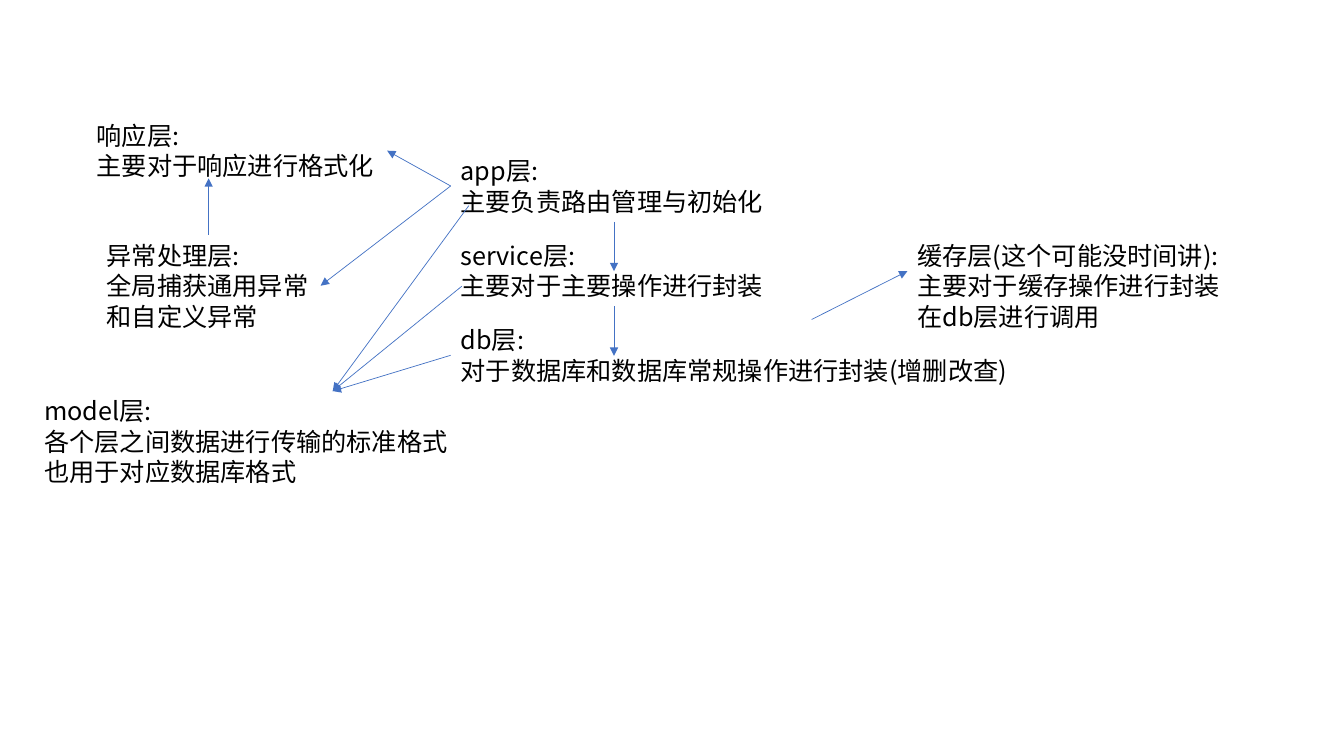
from dataclasses import dataclass
from typing import Optional

import pptx
import pptx.dml.color
import pptx.enum.lang
import pptx.enum.shapes
import pptx.enum.text
import pptx.oxml
import pptx.oxml.ns
import pptx.shapes.autoshape
import pptx.slide
import pptx.util
from lxml import etree
from pptx.util import Inches

TOP, LEFT, BOTTOM, RIGHT = range(4)


@dataclass(frozen=True)
class Theme:
    font: str = "Noto Sans CJK SC"
    size: float = 18
    pitch: float = 21.8
    ink: str = "000000"
    line: str = "4472C4"
    weight: float = 0.5


@dataclass(frozen=True)
class Layer:
    key: str
    left: float
    top: float
    width: float
    height: float
    text: str


@dataclass(frozen=True)
class Join:
    layer: str
    side: int


@dataclass(frozen=True)
class Arrow:
    start: tuple[float, float]
    end: tuple[float, float]
    tail: Optional[Join] = None
    head: Optional[Join] = None


THEME = Theme()
MID = 4.47  # left edge of the central stack
WIDE = 3.24  # width of the boxes for twelve characters
ROW = 2.33  # top edge of the middle row
SHORT, TALL = 0.71, 1.01  # two and three lines of text
AXIS = MID + WIDE / 2  # centre of the downward arrows
DROP = 0.49  # length of the downward arrows
MODEL = (3.3, 3.88)  # meeting point of the model arrows

LAYERS = [
    Layer("app", MID, 1.49, WIDE, SHORT, "app层:\n主要负责路由管理与初始化"),
    Layer("db", MID, 3.17, 5.65, SHORT,
          "db层:\n对于数据库和数据库常规操作进行封装(增删改查)"),
    Layer("service", MID, ROW, WIDE, SHORT, "service层:\n主要对于主要操作进行封装"),
    Layer("reply", 0.86, 1.14, 2.98, SHORT, "响应层:\n主要对于响应进行格式化"),
    Layer("error", 0.96, ROW, 2.22, TALL,
          "异常处理层:\n全局捕获通用异常\n和自定义异常"),
    Layer("cache", 9, ROW, WIDE, TALL,
          "缓存层(这个可能没时间讲):\n主要对于缓存操作进行封装\n在db层进行调用"),
    Layer("model", 0.34, 3.87, 4.24, TALL,
          "model层:\n各个层之间数据进行传输的标准格式\n也用于对应数据库格式"),
]

ARROWS = [
    Arrow((MID, 1.85), (3.84, 1.5), Join("app", LEFT), Join("reply", RIGHT)),
    Arrow((MID, 1.85), (3.18, 2.84), Join("app", LEFT), Join("error", RIGHT)),
    Arrow((2.07, ROW), (2.07, 1.77), Join("error", TOP)),
    Arrow((8.05, 3.17), (9, 2.69)),
    Arrow((AXIS, 2.2), (AXIS, 2.2 + DROP), Join("app", BOTTOM)),
    Arrow((AXIS, 3.04), (AXIS, 3.04 + DROP), Join("service", BOTTOM)),
    Arrow((4.65, 2.04), MODEL),
    Arrow((4.58, 2.84), MODEL),
    Arrow((MID, 3.53), MODEL, Join("db", LEFT)),
]


def add_layer(slide: pptx.slide.Slide, layer: Layer) -> pptx.shapes.autoshape.Shape:
    box = slide.shapes.add_textbox(Inches(layer.left), Inches(layer.top),
                                   Inches(layer.width), Inches(layer.height))
    frame = box.text_frame
    frame.text = layer.text
    frame.word_wrap = True
    frame.auto_size = pptx.enum.text.MSO_AUTO_SIZE.SHAPE_TO_FIT_TEXT
    for para in frame.paragraphs:
        para.line_spacing = pptx.util.Pt(THEME.pitch)
        for run in para.runs:
            font = run.font
            font.size = pptx.util.Pt(THEME.size)
            font.color.rgb = pptx.dml.color.RGBColor.from_string(THEME.ink)
            font.language_id = pptx.enum.lang.MSO_LANGUAGE_ID.SIMPLIFIED_CHINESE
            font.name = THEME.font
            # The Chinese glyphs take their own typeface entry
            etree.SubElement(font._element, pptx.oxml.ns.qn("a:ea"),
                             typeface=THEME.font)
    return box


def add_arrow(slide: pptx.slide.Slide, arrow: Arrow,
              boxes: dict[str, pptx.shapes.autoshape.Shape]) -> None:
    ends = [Inches(v) for v in arrow.start + arrow.end]
    link = slide.shapes.add_connector(
        pptx.enum.shapes.MSO_CONNECTOR.STRAIGHT, *ends)
    if arrow.tail:
        link.begin_connect(boxes[arrow.tail.layer], arrow.tail.side)
    if arrow.head:
        link.end_connect(boxes[arrow.head.layer], arrow.head.side)
    link.line.color.rgb = pptx.dml.color.RGBColor.from_string(THEME.line)
    link.line.width = pptx.util.Pt(THEME.weight)

    # Arrowhead and no shadow
    props = link._element.spPr
    etree.SubElement(props.find(pptx.oxml.ns.qn("a:ln")),
                     pptx.oxml.ns.qn("a:tailEnd"), type="triangle")
    etree.SubElement(props, pptx.oxml.ns.qn("a:effectLst"))


def main() -> None:
    deck = pptx.Presentation()
    deck.slide_width, deck.slide_height = Inches(13.33), Inches(7.5)
    slide = deck.slides.add_slide(deck.slide_layouts[6])

    # Layers of the program
    boxes = {layer.key: add_layer(slide, layer) for layer in LAYERS}

    # Calls between the layers
    for arrow in ARROWS:
        add_arrow(slide, arrow, boxes)

    deck.save("out.pptx")


if __name__ == "__main__":
    main()
